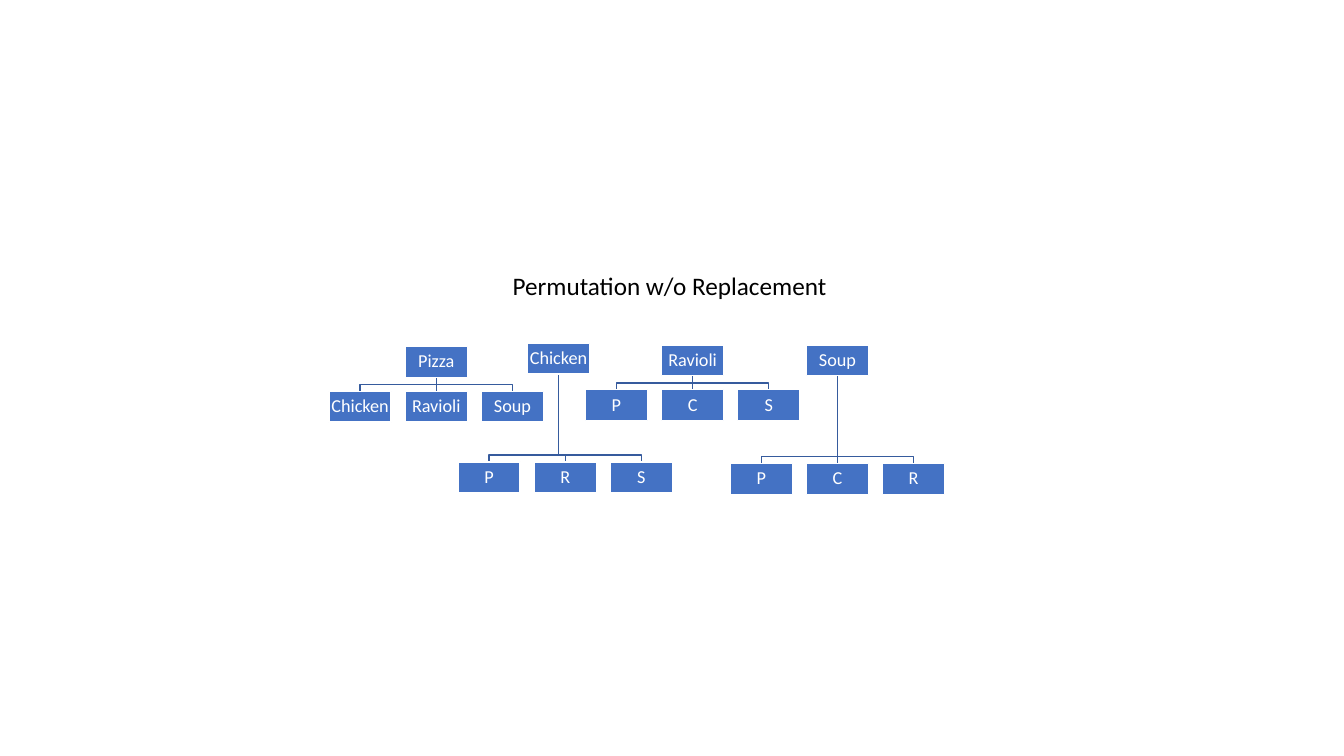
import dataclasses
import pptx
import pptx.util
import pptx.dml.color
import pptx.enum.shapes
import pptx.enum.text
import lxml.etree

Cm, Pt = pptx.util.Cm, pptx.util.Pt
Color = pptx.dml.color.RGBColor.from_string
Align = pptx.enum.text.PP_ALIGN
Anchor = pptx.enum.text.MSO_ANCHOR
Fit = pptx.enum.text.MSO_AUTO_SIZE


@dataclasses.dataclass(frozen=True)
class Theme:
    font: str = "Calibri"
    fill: str = "4472C4"
    edge: str = "FFFFFF"
    line: str = "365B9D"
    ink: str = "000000"
    label: float = 13
    title: float = 18


theme = Theme()
WIDE, HIGH = Cm(1.57), Cm(0.78)
STEP = Cm(1.92)
BEND = Cm(0.17)
PAD = Cm(0.02)


def apply(item, values):
    for name, value in values.items():
        setattr(item, name, value)


def write(frame, text, size, color, layout, form):
    apply(frame, layout)
    para = frame.paragraphs[0]
    apply(para, form)
    run = para.add_run()
    run.text = text
    apply(run.font, {"name": theme.font, "size": Pt(size)})
    run.font.color.rgb = Color(color)


def stroke(line, color):
    line.color.rgb = Color(color)
    line.width = Pt(1)


def add_node(slide, left, top, text):
    node = slide.shapes.add_shape(
        pptx.enum.shapes.MSO_SHAPE.RECTANGLE, left, top, WIDE, HIGH)
    node.shadow.inherit = False
    node.fill.solid()
    node.fill.fore_color.rgb = Color(theme.fill)
    stroke(node.line, theme.edge)
    sides = ("left", "top", "right", "bottom")
    layout = {f"margin_{side}": PAD for side in sides}
    layout |= {"vertical_anchor": Anchor.MIDDLE, "word_wrap": True}
    write(node.text_frame, text, theme.label, theme.edge, layout,
          {"alignment": Align.CENTER, "line_spacing": 0.9})


def add_link(slide, start, end):
    (left, top), (right, base) = start, end
    if left == right:
        link = slide.shapes.add_connector(
            pptx.enum.shapes.MSO_CONNECTOR.STRAIGHT, left, top, right, base)
        stroke(link.line, theme.line)
        lxml.etree.SubElement(
            link._element.spPr, pptx.oxml.ns.qn("a:effectLst"))
        return
    turn = base - BEND
    pen = slide.shapes.build_freeform(left, top)
    pen.add_line_segments([(left, turn), (right, turn), end], close=False)
    link = pen.convert_to_shape()
    link.shadow.inherit = False
    link.fill.background()
    stroke(link.line, theme.line)


def add_tree(slide, left, top, root, leaves, drop, shift=STEP):
    half = WIDE // 2
    head = left + shift
    row = top + drop
    spots = [left + i * STEP for i in range(len(leaves))]
    for spot in spots:
        add_link(slide, (head + half, top + HIGH), (spot + half, row))
    add_node(slide, head, top, root)
    for spot, leaf in zip(spots, leaves):
        add_node(slide, spot, row, leaf)


def add_title(slide, left, top, width, height, text):
    box = slide.shapes.add_textbox(left, top, width, height)
    write(box.text_frame, text, theme.title, theme.ink,
          {"word_wrap": False, "auto_size": Fit.SHAPE_TO_FIT_TEXT},
          {"alignment": Align.LEFT})


def main():
    deck = pptx.Presentation()
    apply(deck, {"slide_width": Cm(33.87), "slide_height": Cm(19.05)})
    slide = deck.slides.add_slide(deck.slide_layouts[6])
    near, far = Cm(1.13), Cm(2.99)
    add_tree(slide, Cm(18.4), Cm(8.69), "Soup", "PCR", far)
    add_tree(slide, Cm(14.75), Cm(8.69), "Ravioli", "PCS", near)
    add_tree(slide, Cm(11.54), Cm(8.65), "Chicken", "PRS", far, Cm(1.75))
    add_tree(slide, Cm(8.29), Cm(8.73), "Pizza",
             ["Chicken", "Ravioli", "Soup"], near)
    add_title(slide, Cm(12.67), Cm(6.68), Cm(8.51), Cm(1.02),
              "Permutation w/o Replacement")
    deck.save("out.pptx")


main()
